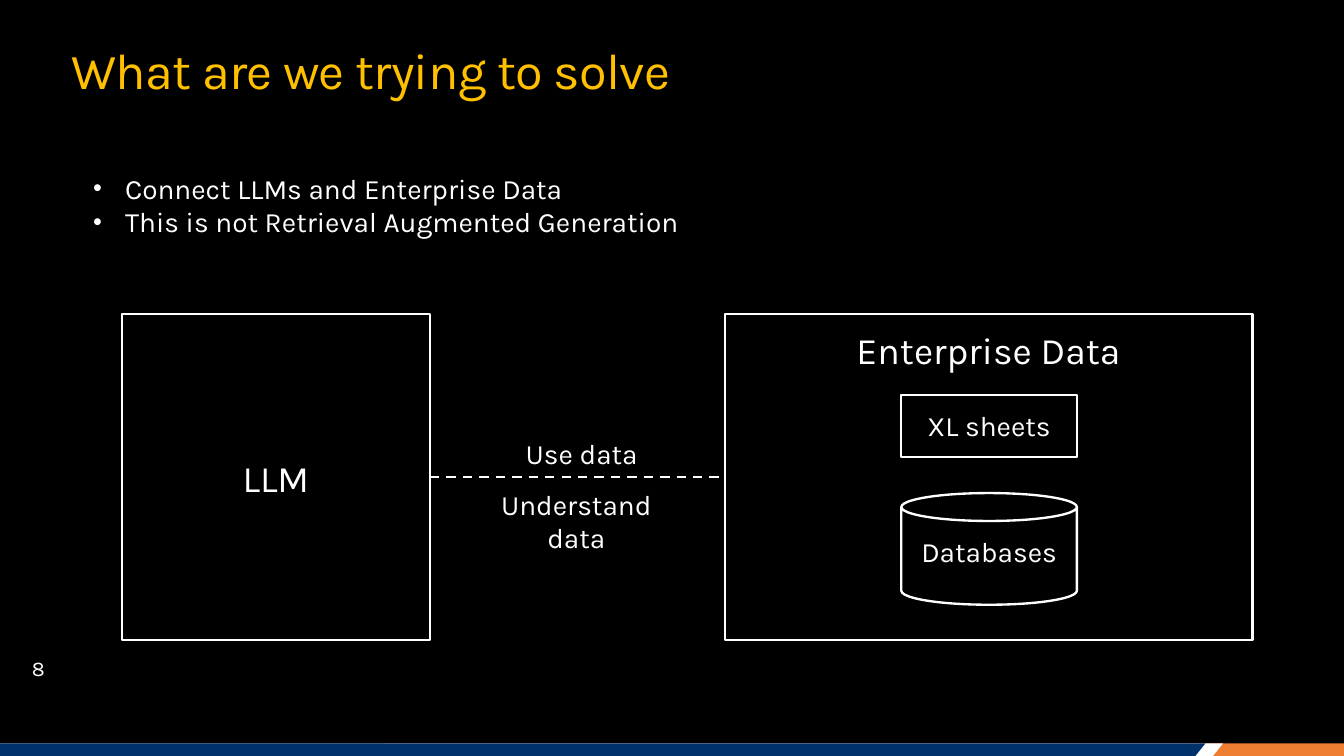
from dataclasses import dataclass

from lxml import etree
from pptx import Presentation
from pptx.dml.color import RGBColor
from pptx.enum.dml import MSO_LINE
from pptx.enum.shapes import MSO_CONNECTOR, MSO_SHAPE
from pptx.enum.text import MSO_ANCHOR, MSO_AUTO_SIZE, PP_ALIGN
from pptx.oxml.ns import qn
from pptx.util import Inches, Pt

RECT, CAN = MSO_SHAPE.RECTANGLE, MSO_SHAPE.CAN
TOP, MIDDLE, BOTTOM = MSO_ANCHOR.TOP, MSO_ANCHOR.MIDDLE, MSO_ANCHOR.BOTTOM
LEFT, CENTER = PP_ALIGN.LEFT, PP_ALIGN.CENTER
RIGHT_SIDE, LEFT_SIDE = 3, 1
COLUMNS, ROWS = 16, 9
WIDTH, HEIGHT = Inches(16), Inches(9)
PADDING = (0.2, 0.16)


@dataclass(frozen=True)
class Theme:
    font: str = "Karla"
    background: str = "000000"
    ink: str = "FFFFFF"
    title: str = "FFC000"
    navy: str = "00316B"
    orange: str = "ED7D31"
    title_size: float = 43.2
    heading_size: float = 32
    text_size: float = 24
    number_size: float = 18
    line_width: float = 2


@dataclass(frozen=True)
class Area:
    """A place on the slide, in grid columns and rows."""
    col: float
    row: float
    cols: float
    rows: float

    def emu(self) -> tuple[int, int, int, int]:
        return col(self.col), row(self.row), col(self.cols), row(self.rows)


@dataclass(frozen=True)
class Box:
    text: str
    area: Area
    size: float
    shape: MSO_SHAPE = RECT
    anchor: MSO_ANCHOR = TOP


@dataclass(frozen=True)
class Band:
    """A footer stripe whose slanted end runs from top to bottom."""
    color: str
    top: tuple[float, float]
    bottom: tuple[float, float]


THEME = Theme()
FOOTER_ROW = 8.85
BANDS = [
    Band(THEME.orange, (4.57, 16), (4.39, 16)),
    Band(THEME.ink, (0, 14.56), (0, 14.44)),
    Band(THEME.navy, (0, 14.35), (0, 14.23)),
]
BULLETS = ["Connect LLMs and Enterprise Data",
           "This is not Retrieval Augmented Generation"]
BOXES = [
    Box("XL sheets", Area(10.73, 4.7, 2.09, 0.74), THEME.text_size),
    Box("LLM", Area(1.45, 3.74, 3.67, 3.88), THEME.heading_size, anchor=MIDDLE),
    Box("Enterprise Data", Area(8.63, 3.74, 6.28, 3.88), THEME.heading_size),
    Box("Databases", Area(10.73, 5.87, 2.09, 1.33), THEME.text_size, CAN),
]
LINK_LABELS = {
    "Understand data": Area(5.72, 5.64, 2.28, 0.74),
    "Use data": Area(5.88, 5.04, 2.09, 0.74),
}


def col(n: float) -> int:
    return round(WIDTH * n / COLUMNS)


def row(n: float) -> int:
    return round(HEIGHT * n / ROWS)


def rgb(color: str) -> RGBColor:
    return RGBColor.from_string(color)


def write(sp, lines: list[str], size: float, color: str = THEME.ink,
          align: PP_ALIGN = LEFT, anchor: MSO_ANCHOR = TOP,
          padding: tuple[float, float] = (0, 0)) -> None:
    tf = sp.text_frame
    tf.text = "\n".join(lines)
    tf.word_wrap = True
    tf.auto_size = MSO_AUTO_SIZE.NONE
    tf.vertical_anchor = anchor
    tf.margin_left = tf.margin_right = Inches(padding[0])
    tf.margin_top = tf.margin_bottom = Inches(padding[1])
    for p in tf.paragraphs:
        p.alignment = align
        for r in p.runs:
            r.font.name = THEME.font
            r.font.size = Pt(size)
            r.font.color.rgb = rgb(color)


def add_label(slide, area: Area, lines: list[str], size: float, **layout):
    sp = slide.shapes.add_textbox(*area.emu())
    write(sp, lines, size, **layout)
    return sp


def add_bullets(sp) -> None:
    for p in sp.text_frame.paragraphs:
        pPr = p._p.get_or_add_pPr()
        pPr.set("marL", str(Inches(0.38)))
        pPr.set("indent", str(-Inches(0.38)))
        for tag, name, value in (("a:buSzPct", "val", "90000"),
                                 ("a:buFont", "typeface", "Arial"),
                                 ("a:buChar", "char", "•")):
            etree.SubElement(pPr, qn(tag)).set(name, value)


def add_band(slide, band: Band) -> None:
    (top_l, top_r), (low_l, low_r) = band.top, band.bottom
    outline = slide.shapes.build_freeform(col(top_l), row(FOOTER_ROW))
    outline.add_line_segments([(col(top_r), row(FOOTER_ROW)),
                               (col(low_r), HEIGHT), (col(low_l), HEIGHT)])
    sp = outline.convert_to_shape()
    sp.shadow.inherit = False
    sp.fill.solid()
    sp.fill.fore_color.rgb = rgb(band.color)
    sp.line.fill.background()


def draw_line(line) -> None:
    line.color.rgb = rgb(THEME.ink)
    line.width = Pt(THEME.line_width)


def add_box(slide, box: Box):
    sp = slide.shapes.add_shape(box.shape, *box.area.emu())
    sp.shadow.inherit = False
    sp.fill.background()
    draw_line(sp.line)
    write(sp, [box.text], box.size, align=CENTER, anchor=box.anchor, padding=PADDING)
    return sp


def add_link(slide, start, end) -> None:
    link = slide.shapes.add_connector(MSO_CONNECTOR.STRAIGHT, 0, 0, 0, 0)
    link.begin_connect(start, RIGHT_SIDE)
    link.end_connect(end, LEFT_SIDE)
    draw_line(link.line)
    link.line.dash_style = MSO_LINE.DASH
    etree.SubElement(link._element.spPr, qn("a:effectLst"))


def set_title(slide, text: str) -> None:
    title = slide.shapes.title
    title.left, title.top, title.width, title.height = Area(0.85, -0.76, 8.55, 1.96).emu()
    write(title, [text], THEME.title_size, THEME.title, anchor=BOTTOM)
    p = title.text_frame.paragraphs[0]
    p.line_spacing = 0.9
    p.space_after = Pt(12)
    p.runs[0].font._element.set("spc", "-60")


def main() -> None:
    prs = Presentation()
    prs.slide_width, prs.slide_height = WIDTH, HEIGHT
    slide = prs.slides.add_slide(prs.slide_layouts.get_by_name("Title Only"))
    slide.background.fill.solid()
    slide.background.fill.fore_color.rgb = rgb(THEME.background)

    add_label(slide, Area(0.38, 7.81, 0.77, 0.3), ["8"], THEME.number_size)
    for band in BANDS:
        add_band(slide, band)
    add_bullets(add_label(slide, Area(1.11, 2.04, 12, 0.81), BULLETS, THEME.text_size))
    set_title(slide, "What are we trying to solve")

    shapes = {box.text: add_box(slide, box) for box in BOXES}
    add_link(slide, shapes["LLM"], shapes["Enterprise Data"])
    for text, area in LINK_LABELS.items():
        add_label(slide, area, [text], THEME.text_size, align=CENTER, padding=PADDING)
    prs.save("out.pptx")


if __name__ == "__main__":
    main()
